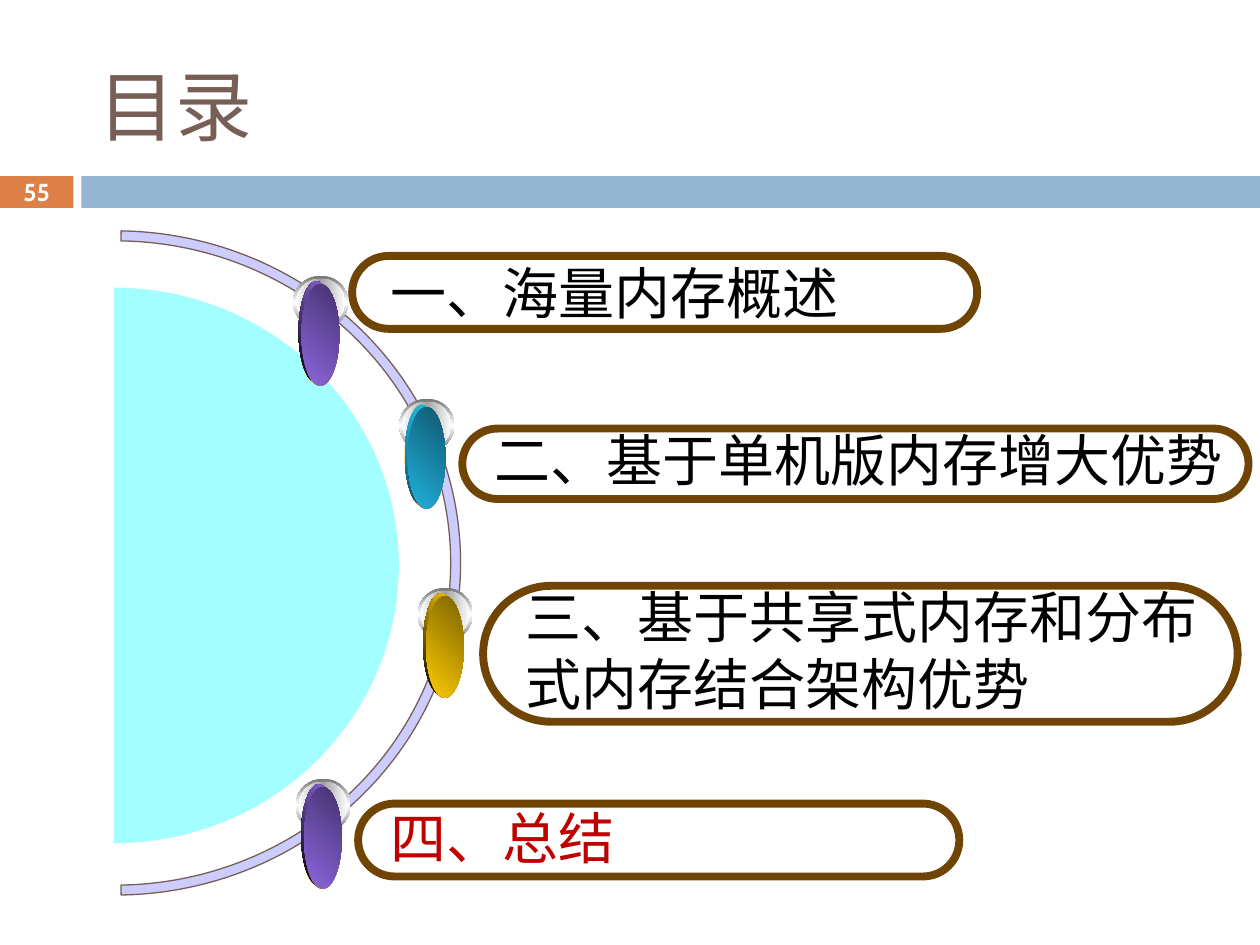
from dataclasses import dataclass

from lxml.etree import SubElement
from pptx import Presentation
from pptx.dml.color import RGBColor
from pptx.enum.shapes import MSO_SHAPE as Shape
from pptx.enum.text import MSO_ANCHOR as Anchor, PP_ALIGN as Align
from pptx.oxml.ns import qn
from pptx.util import Cm, Pt


@dataclass(frozen=True)
class Theme:
    cjk_font: str = "Noto Sans CJK SC"
    number_font: str = "Cabin"
    title_size: int = 44
    item_size: int = 32
    number_size: int = 14
    title: str = "775F55"
    orange: str = "DD8047"
    band: str = "94B6D2"
    ring: str = "CCCCFF"
    disc: str = "00FFFF"
    pill: str = "704404"
    text: str = "000000"
    current: str = "C00000"
    white: str = "FFFFFF"
    purple: tuple = ("8D67E1", "45326D")
    blue: tuple = ("21B3E1", "10576D")
    gold: tuple = ("FFCC00", "7C6300")


THEME = Theme()

# text, text colour, text box, pill outline (left, top, width, height in cm)
ITEMS = [
    ("一、海量内存概述", THEME.text,
     (7.62, 5.08, 11.61, 1.6), (7.1, 5.16, 12.6, 1.47)),
    ("二、基于单机版内存增大优势", THEME.text,
     (9.71, 8.46, 15.88, 1.63), (9.32, 8.64, 15.85, 1.42)),
    ("三、基于共享式内存和分布式内存结合架构优势", THEME.text,
     (10.34, 11.61, 14.15, 3), (9.74, 11.81, 15.21, 2.74)),
    ("四、总结", THEME.current,
     (7.62, 16.08, 10.29, 1.6), (7.22, 16.2, 12.12, 1.47)),
]

# left, top, (light, dark), (colours, angle) of the rim behind the face
ORBS = [
    (5.96, 15.7, THEME.purple, (("000000", "8D67E1"), 315)),
    (8.05, 8.04, THEME.blue, (("21B3E1", "0F5368"), 90)),
    (5.91, 5.56, THEME.purple, (("000000", "8D67E1"), 315)),
    (8.42, 11.85, THEME.gold, (("000000", "FFCC00"), 315)),
]


def rgb(value):
    return RGBColor.from_string(value)


def lengths(box):
    return [Cm(value) for value in box]


def fill_solid(shape, color):
    shape.shadow.inherit = False
    shape.fill.solid()
    shape.fill.fore_color.rgb = rgb(color)
    shape.line.fill.background()


def fill_gradient(shape, colors, angle):
    """Spread the colours evenly; the angle is in degrees, clockwise."""
    shape.shadow.inherit = False
    shape.line.fill.background()
    shape.fill.gradient()
    gradient = shape.fill._xPr.find(qn("a:gradFill"))
    for child in list(gradient):
        gradient.remove(child)
    stops = SubElement(gradient, qn("a:gsLst"))
    for index, color in enumerate(colors):
        position = 100000 * index // (len(colors) - 1)
        stop = SubElement(stops, qn("a:gs"), pos=str(position))
        SubElement(stop, qn("a:srgbClr"), val=color)
    SubElement(gradient, qn("a:lin"), ang=str(angle * 60000), scaled="0")


def add_bar(slide, box, color):
    fill_solid(slide.shapes.add_shape(Shape.RECTANGLE, *lengths(box)), color)


def add_text(slide, text, box, font_name, size, color,
             anchor=Anchor.TOP, align=Align.LEFT, bold=False):
    text_frame = slide.shapes.add_textbox(*lengths(box)).text_frame
    text_frame.word_wrap = True
    text_frame.vertical_anchor = anchor
    text_frame.text = text
    paragraph = text_frame.paragraphs[0]
    paragraph.alignment = align
    run = paragraph.runs[0]
    run.font.name = font_name
    run.font.size = Pt(size)
    run.font.bold = bold
    run.font.color.rgb = rgb(color)
    SubElement(run.font._element, qn("a:ea"), typeface=font_name)


def add_right_arc(slide, box, color, thickness, trim=0):
    """Turn a block arc to the right, each end shortened by trim degrees."""
    arc = slide.shapes.add_shape(Shape.BLOCK_ARC, *lengths(box))
    arc.rotation = 90
    units_per_degree = 0.6
    arc.adjustments[0] = (180 + trim) * units_per_degree
    arc.adjustments[1] = (360 - trim) % 360 * units_per_degree
    arc.adjustments[2] = thickness
    fill_solid(arc, color)
    return arc


def add_ring(slide):
    ring = add_right_arc(slide, (-4.37, 4.39, 13.39, 13.92), THEME.ring,
                         thickness=0.015, trim=1)
    ring.line.color.rgb = rgb(THEME.title)
    ring.line.width = Pt(0.75)


def add_disc(slide):
    disc = add_right_arc(slide, (-3.3, 5.66, 11.2, 11.48), THEME.disc,
                         thickness=0.5)
    color = disc.fill._xPr.find(qn("a:solidFill"))[0]
    SubElement(color, qn("a:alpha"), val="36000")


def add_orb(slide, left, top, face, rim):
    """Group a silver ring and the layered, tall coloured ellipse in it."""
    glow = ("F7B615", "FFFFFF", "F7B615")
    shade = ("F7B615", "1C0053", "F7B615")
    layers = [
        (0, 1.11, 1.07, ("767676", "FFFFFF", "767676"), 90),
        (0.06, 0.99, 0.94, ("FFFFFF", "A2A2A2", "FFFFFF"), 0),
        (0.11, 0.71, 2.05, glow, 315),
        (0.11, 0.71, 2.04, *rim),
        (0.17, 0.76, 2.05, shade, 45),
        (0.17, 0.76, 2.04, face, 315),
    ]
    group = slide.shapes.add_group_shape()
    for offset, width, height, colors, angle in layers:
        box = (left + offset, top + offset, width, height)
        ellipse = group.shapes.add_shape(Shape.OVAL, *lengths(box))
        fill_gradient(ellipse, colors, angle)


def add_pill(slide, box):
    pill = slide.shapes.add_shape(Shape.ROUNDED_RECTANGLE, *lengths(box))
    pill.adjustments[0] = 0.5
    pill.shadow.inherit = False
    pill.fill.background()
    pill.line.color.rgb = rgb(THEME.pill)
    pill.line.width = Pt(4.5)


def main():
    presentation = Presentation()
    presentation.slide_width, presentation.slide_height = Cm(25.4), Cm(19.05)
    slide = presentation.slides.add_slide(presentation.slide_layouts[6])

    number_box = (0, 3.55, 1.48, 0.64)
    add_bar(slide, number_box, THEME.orange)
    add_bar(slide, (1.64, 3.55, 23.76, 0.64), THEME.band)
    add_text(slide, "目录", (1.73, 0.84, 22.99, 2.54), THEME.cjk_font,
             THEME.title_size, THEME.title, Anchor.MIDDLE)

    add_ring(slide)
    add_disc(slide)
    for orb in ORBS:
        add_orb(slide, *orb)
    for text, color, text_box, pill_box in ITEMS:
        add_pill(slide, pill_box)
        add_text(slide, text, text_box, THEME.cjk_font, THEME.item_size, color)
    add_text(slide, "55", number_box, THEME.number_font, THEME.number_size,
             THEME.white, Anchor.MIDDLE, Align.CENTER, bold=True)

    presentation.save("out.pptx")


if __name__ == "__main__":
    main()
